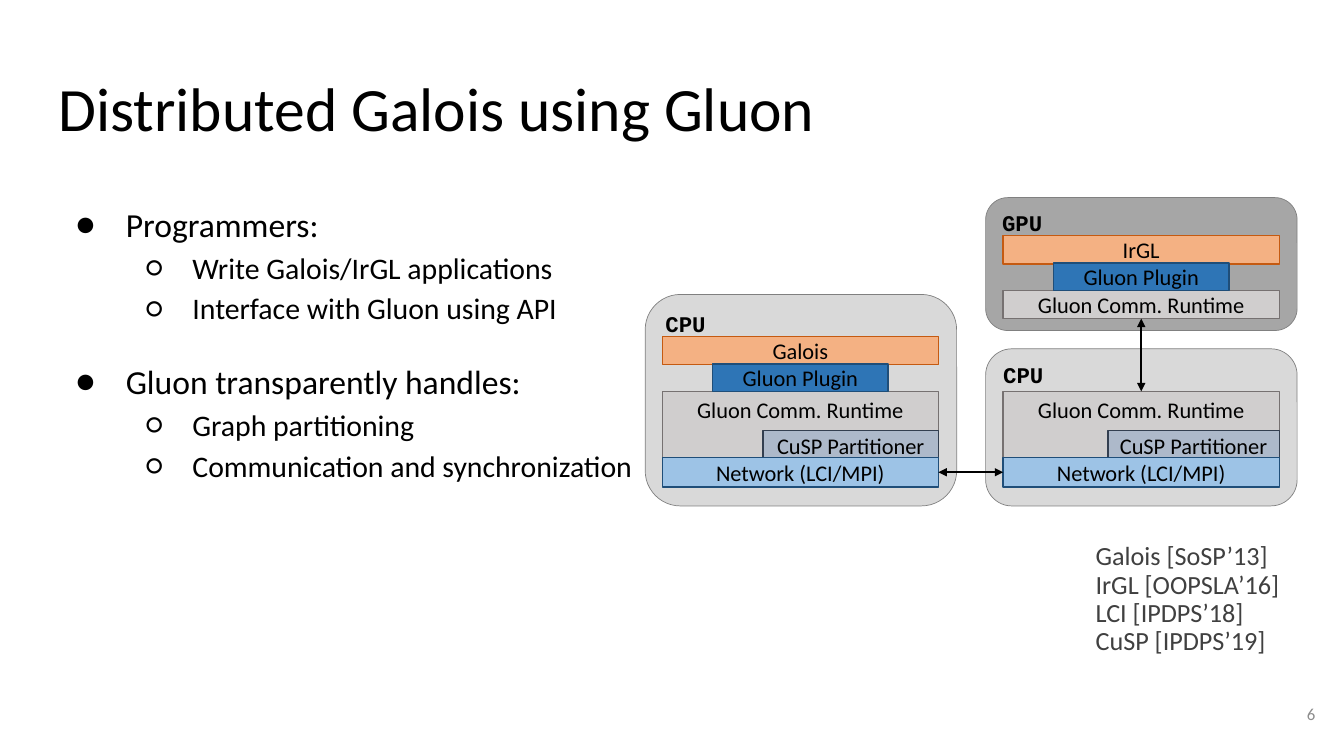
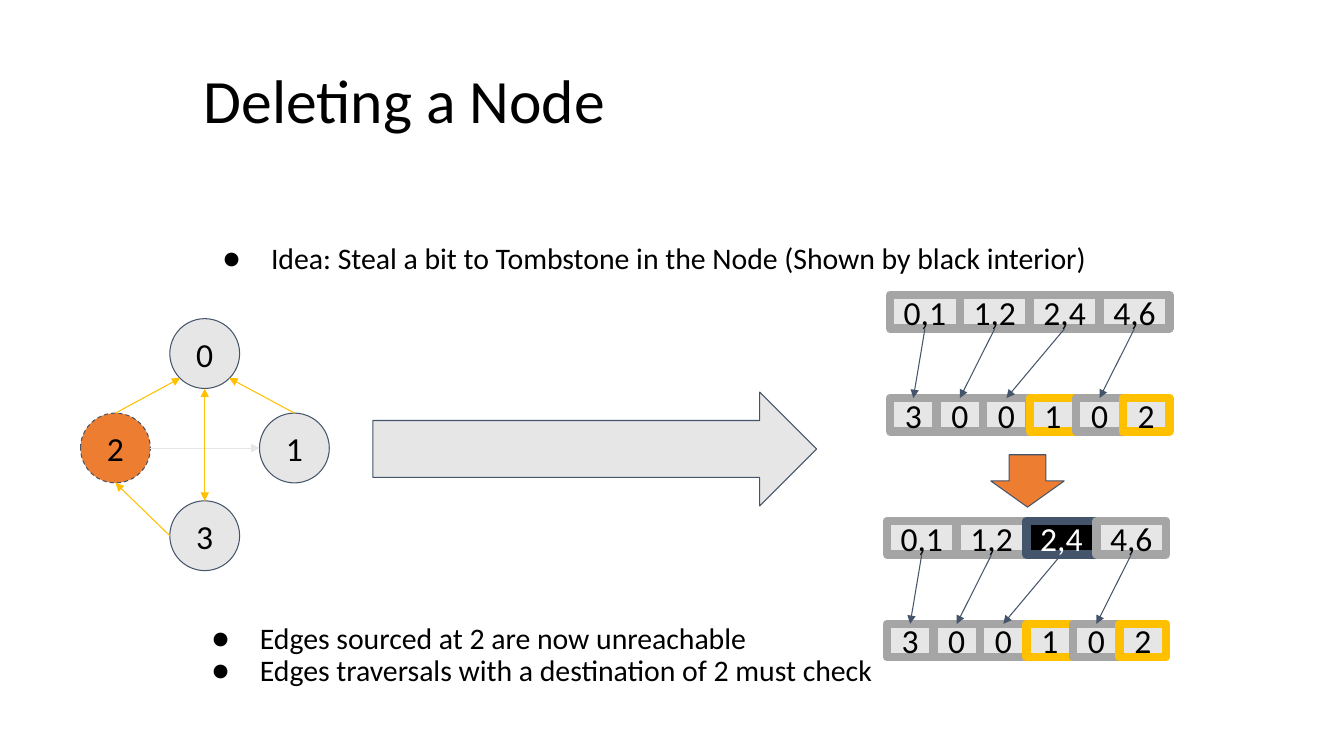
"""Builds two slides on graph systems: a runtime diagram and a node deletion."""
from lxml import etree
from pptx import Presentation
from pptx.dml.color import RGBColor
from pptx.enum.dml import MSO_LINE
from pptx.enum.shapes import MSO_CONNECTOR, MSO_SHAPE
from pptx.enum.text import MSO_ANCHOR, MSO_AUTO_SIZE, PP_ALIGN
from pptx.oxml.ns import qn
from pptx.util import Cm, Pt

RECT, ROUND, OVAL = MSO_SHAPE.RECTANGLE, MSO_SHAPE.ROUNDED_RECTANGLE, MSO_SHAPE.OVAL
EAST, SOUTH = MSO_SHAPE.RIGHT_ARROW, MSO_SHAPE.DOWN_ARROW
STRAIGHT, DASH = MSO_CONNECTOR.STRAIGHT, MSO_LINE.DASH
LEFT, CENTER, RIGHT = PP_ALIGN.LEFT, PP_ALIGN.CENTER, PP_ALIGN.RIGHT
TOP, MIDDLE = MSO_ANCHOR.TOP, MSO_ANCHOR.MIDDLE
FIXED = MSO_AUTO_SIZE.NONE

BLACK, WHITE, PALE, GRAY = "000000", "FFFFFF", "E7E6E6", "A5A5A5"
SLATE, GOLD, ORANGE = "44546A", "FFC000", "ED7D31"
PANEL, PEACH, BLUE = ("D9D9D9", "808080"), ("F4B183", "C55A11"), ("2E75B6", "1F4E79")
STONE, STEEL, SKY = ("D0CECE", "767171"), ("ADB9CA", "333F50"), ("9DC3E6", "1F4E79")


def hue(code):
    return RGBColor.from_string(code)


def write(par, text, size=16, face="Calibri", color=BLACK, bold=False,
          align=LEFT, space=1.0, before=0, left=0, hang=0, mark=None):
    props = par._p.get_or_add_pPr()
    props.set("marL", str(Cm(left)))
    props.set("indent", str(Cm(-hang)))
    if mark:
        etree.SubElement(props, qn("a:buFont")).set("typeface", face)
        etree.SubElement(props, qn("a:buChar")).set("char", mark)
    par.alignment, par.line_spacing = align, space
    par.space_before, par.space_after = Pt(before), Pt(0)
    run = par.add_run()
    run.text = text
    font = run.font
    font.size, font.name, font.bold = Pt(size), face, bold
    font.color.rgb = hue(color)


def spot(shape, right, down):
    return shape.left + int(shape.width * right), shape.top + int(shape.height * down)


class Deck:
    face, mono, pad = "Calibri", "Courier New", 0.33
    marks = (("●", 1.7), ("○", 3.38))

    def __init__(self):
        self.file = Presentation()
        self.file.slide_width, self.file.slide_height = Cm(33.87), Cm(19.05)

    def start(self, layout, title, box):
        self.slide = self.file.slides.add_slide(self.file.slide_layouts[layout])
        frame = self.place(self.slide.shapes.title, box)
        write(frame.paragraphs[0], title, size=44, space=0.9)

    def place(self, shape, box):
        shape.left, shape.top, shape.width, shape.height = map(Cm, box)
        return self.frame(shape, TOP, self.pad)

    def frame(self, shape, anchor, pad=None, wrap=True):
        frame = shape.text_frame
        frame.word_wrap, frame.auto_size = wrap, FIXED
        frame.vertical_anchor = anchor
        if pad is not None:
            frame.margin_left = frame.margin_right = Cm(pad)
            frame.margin_top = frame.margin_bottom = Cm(pad)
        return frame

    def fill(self, frame, lines, **look):
        for i, line in enumerate(lines):
            par = frame.paragraphs[0] if i == 0 else frame.add_paragraph()
            write(par, line, **look)

    def list(self, slot, box, items, sizes=(21.3, 21.3), hangs=(1.22, 1.22),
             space=0.9, gap=0):
        frame = self.place(self.slide.placeholders[slot], box)
        for i, (level, text) in enumerate(items):
            par = frame.paragraphs[0] if i == 0 else frame.add_paragraph()
            par.level = level
            mark, left = self.marks[level]
            write(par, text, size=sizes[level], space=space, left=left,
                  hang=hangs[level], mark=mark,
                  before=gap if i and level == 0 else 0)

    def note(self, box, lines, anchor=TOP, pad=0.33, **look):
        shape = self.slide.shapes.add_textbox(*map(Cm, box))
        self.fill(self.frame(shape, anchor, pad), lines, **look)

    def shape(self, kind, box, fill, line, width=0.75, text=None, anchor=MIDDLE,
              pad=None, align=CENTER, **look):
        shape = self.slide.shapes.add_shape(kind, *map(Cm, box))
        shape.shadow.inherit = False
        shape.fill.solid()
        shape.fill.fore_color.rgb = hue(fill)
        shape.line.color.rgb = hue(line)
        shape.line.width = Pt(width)
        if text:
            frame = self.frame(shape, anchor, pad, align == LEFT)
            write(frame.paragraphs[0], text, align=align, **look)
        return shape

    def panel(self, box, text, tone=PANEL):
        self.shape(ROUND, box, *tone, 0.5, text, TOP, align=LEFT,
                   face=self.mono, bold=True)

    def block(self, box, text, tone, anchor=MIDDLE):
        return self.shape(RECT, box, *tone, 1, text, anchor)

    def arrow(self, start, end, color, width=0.75, both=False):
        line = self.slide.shapes.add_connector(STRAIGHT, *start, *end)
        line.line.color.rgb = hue(color)
        line.line.width = Pt(width)
        tips = ("headEnd", "tailEnd") if both else ("tailEnd",)
        for tip in tips:
            etree.SubElement(line.line._ln, qn("a:" + tip)).set("type", "triangle")
        etree.SubElement(line._element.spPr, qn("a:effectLst"))
        return line

    def join(self, first, out, last, into, color, **look):
        line = self.arrow((0, 0), (0, 0), color, **look)
        line.begin_connect(first, out)
        line.end_connect(last, into)

    def app(self, x, y, name):
        self.block((x, y, 6.96, 0.71), name, PEACH)
        self.block((x + 1.27, y + 0.69, 4.42, 0.69), "Gluon Plugin", BLUE)

    def base(self, x, inner):
        core = self.block((x, 9.86, 6.96, 1.73), "Gluon Comm. Runtime", STONE, TOP)
        self.block((x + 6.96 - inner, 10.85, inner, 0.74), "CuSP Partitioner", STEEL)
        net = self.block((x, 11.53, 6.96, 0.74), "Network (LCI/MPI)", SKY)
        return core, net

    def node(self, x, y, text, fill=PALE):
        return self.shape(OVAL, (x, y, 1.76, 1.76), fill, SLATE, text=text,
                          pad=self.pad, size=24)

    def row(self, x, y, texts, tones):
        wide = 7.04 / len(texts)
        cells = []
        for i, text in enumerate(texts):
            fill, line, color = tones.get(i, (PALE, GRAY, BLACK))
            cells.append(self.shape(RECT, (x + i * wide, y, wide, 0.84), fill, line, 6,
                                    text, pad=self.pad, size=24, color=color))
        return cells

    def graph(self, x, y, tones):
        gold = (PALE, GOLD, BLACK)
        nodes = self.row(x, y, ("0,1", "1,2", "2,4", "4,6"), tones)
        edges = self.row(x, y + 2.59, "300102", {3: gold, 5: gold})
        for node, i in zip(nodes, (0, 1, 2, 4)):
            self.join(node, 2, edges[i], 0, SLATE)


def stack(deck):
    deck.start(1, "Distributed Galois using Gluon", (1.14, 1.65, 31.55, 2.62))
    deck.list(1, (1.14, 4.67, 15.42, 12.22), (
        (0, "Programmers:"),
        (1, "Write Galois/IrGL applications"),
        (1, "Interface with Gluon using API"),
        (0, "Gluon transparently handles:"),
        (1, "Graph partitioning"),
        (1, "Communication and synchronization"),
    ), sizes=(24, 21.3), hangs=(1.27, 1.17), space=1.14, gap=21.3)
    deck.note((26.85, 13.36, 5.87, 4.06), (
        "Galois [SoSP’13]", "IrGL [OOPSLA’16]", "LCI [IPDPS’18]", "CuSP [IPDPS’19]",
    ), size=18.7, color="404040", space=0.9, left=0.43)

    west, east = 16.69, 25.28
    deck.panel((24.84, 4.98, 7.85, 3.35), "GPU", ("A6A6A6", "808080"))
    deck.panel((24.84, 8.79, 7.85, 3.96), "CPU")
    deck.panel((16.26, 7.42, 7.85, 5.33), "CPU")
    core, net = deck.base(east, 4.32)
    host = deck.base(west, 4.42)[1]
    chip = deck.block((east, 7.32, 6.96, 0.71), "Gluon Comm. Runtime", STONE)
    deck.app(east, 5.94, "IrGL")
    deck.app(west, 8.48, "Galois")
    deck.join(core, 0, chip, 2, BLACK, width=1.5, both=True)
    deck.join(host, 3, net, 1, BLACK, width=1.5, both=True)
    deck.note((31.37, 17.27, 2.03, 1.45), ("6",), MIDDLE, 0.25,
              size=12, color="8C8C8C", align=RIGHT)


def delete(deck):
    deck.start(3, "Deleting a Node", (4.8, 1.45, 26.06, 3.38))
    deck.list(1, (4.8, 5.82, 26.06, 1.63), (
        (0, "Idea: Steal a bit to Tombstone in the Node (Shown by black interior)"),
    ))
    deck.list(2, (4.52, 15.39, 19.28, 3.66), (
        (0, "Edges sourced at 2 are now unreachable"),
        (0, "Edges traversals with a destination of 2 must check"),
    ))

    zero = deck.node(4.28, 8.03, "0")
    two = deck.node(2.03, 10.41, "2", ORANGE)
    two.line.dash_style = DASH
    one = deck.node(6.54, 10.41, "1")
    three = deck.node(4.28, 12.62, "3")
    deck.arrow(spot(two, 0.5, 0), spot(zero, 0.15, 0.85), GOLD)
    deck.arrow(spot(two, 1, 0.5), spot(one, 0, 0.5), PALE)
    deck.arrow(spot(zero, 0.5, 1), spot(three, 0.5, 0), GOLD, both=True)
    deck.arrow(spot(three, 0, 0.5), spot(two, 0.5, 1), GOLD)
    deck.arrow(spot(one, 0.5, 0), spot(zero, 0.85, 0.85), GOLD)

    deck.shape(EAST, (9.4, 9.88, 11.18, 2.87), PALE, SLATE)
    deck.graph(22.43, 7.44, {})
    deck.shape(SOUTH, (24.97, 11.46, 1.85, 1.32), ORANGE, SLATE)
    deck.graph(22.35, 13.13, {2: (BLACK, SLATE, WHITE)})


def main():
    deck = Deck()
    stack(deck)
    delete(deck)
    deck.file.save("out.pptx")


if __name__ == "__main__":
    main()
